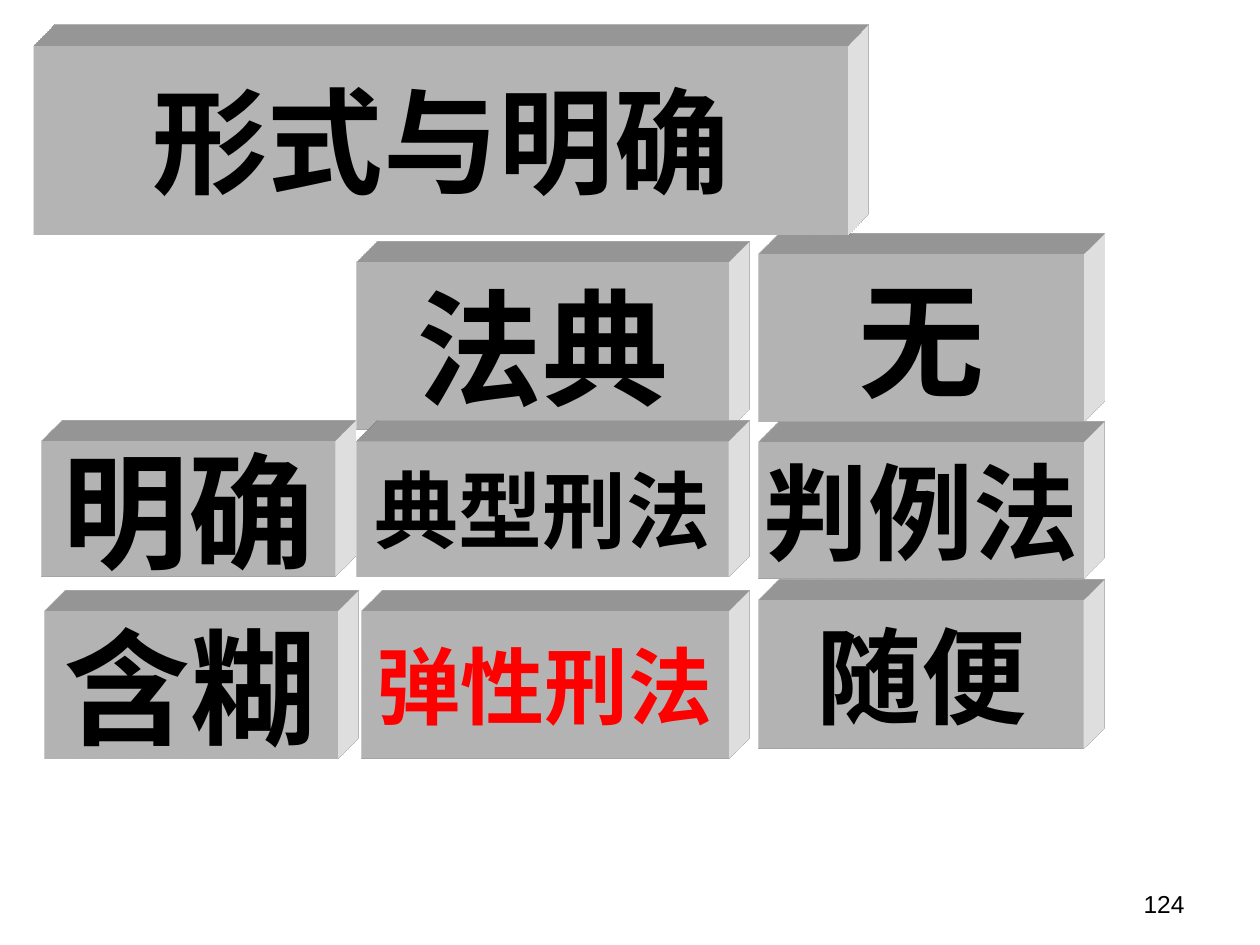
from lxml.etree import fromstring
from pptx import Presentation
from pptx.dml.color import RGBColor
from pptx.enum.shapes import MSO_SHAPE
from pptx.enum.text import MSO_ANCHOR, PP_ALIGN
from pptx.util import Inches, Pt

NAMESPACE = "http://schemas.openxmlformats.org/drawingml/2006/main"
SCENE = f"""<a:scene3d xmlns:a="{NAMESPACE}">
<a:camera prst="legacyObliqueTopRight"/><a:lightRig rig="legacyFlat3" dir="b"/>
</a:scene3d>"""
DEPTH = f"""<a:sp3d xmlns:a="{NAMESPACE}" extrusionH="430200" prstMaterial="legacyMatte">
<a:bevelT w="13500" h="13500" prst="angle"/><a:bevelB w="13500" h="13500" prst="angle"/>
<a:extrusionClr><a:srgbClr val="FFFFFF"/></a:extrusionClr></a:sp3d>"""

# Column left edges and widths
HEADS, MIDDLE, RIGHT = (0.33, 2.33), (2.83, 2.95), (6.02, 2.58)


def color(value):
    """Turn a hex string into a colour."""
    return RGBColor.from_string(value)


def write(shape, text, size, font, ink, align, bold=False):
    """Put one formatted paragraph into a shape."""
    shape.text_frame.text = text
    para = shape.text_frame.paragraphs[0]
    para.alignment = align
    span = para.runs[0]
    span.font.size = Pt(size)
    span.font.name = font
    span.font.bold = bold
    span.font.color.rgb = color(ink)


def add_block(page, text, box, size, ink="000000"):
    """Add an extruded block with a bold centred label."""
    block = page.shapes.add_shape(MSO_SHAPE.RECTANGLE, *map(Inches, box))
    block.fill.solid()
    block.fill.fore_color.rgb = color("FFFFFF")
    block.line.fill.background()
    block.shadow.inherit = False
    for part in (SCENE, DEPTH):
        block._element.spPr.append(fromstring(part))
    block.text_frame.word_wrap = False
    block.text_frame.vertical_anchor = MSO_ANCHOR.MIDDLE
    write(block, text, size, "Times New Roman", ink, PP_ALIGN.CENTER, True)


def add_matrix(page):
    """Add the column heads, row heads and cells of the matrix."""
    cells = [
        ("法典", MIDDLE, 2.08, 1.33, 72, "000000"),
        ("无", RIGHT, 2.02, 1.33, 72, "000000"),
        ("明确", HEADS, 3.5, 1.08, 72, "000000"),
        ("含糊", (0.35, 2.33), 4.85, 1.17, 72, "000000"),
        ("典型刑法", MIDDLE, 3.5, 1.08, 48, "000000"),
        ("判例法", RIGHT, 3.51, 1.08, 60, "000000"),
        ("弹性刑法", (2.87, 2.91), 4.85, 1.17, 48, "FF0000"),
        ("随便", RIGHT, 4.77, 1.17, 60, "000000"),
    ]
    for text, (left, width), top, height, size, ink in cells:
        add_block(page, text, (left, top, width, height), size, ink)


def add_page_number(page, text, box):
    """Add the right-aligned page number."""
    number = page.shapes.add_textbox(*map(Inches, box))
    number.text_frame.word_wrap = True
    write(number, text, 14, "Arial", "000000", PP_ALIGN.RIGHT)


deck = Presentation()
deck.slide_width, deck.slide_height = Inches(10), Inches(7.5)
page = deck.slides.add_slide(deck.slide_layouts[6])
add_matrix(page)
add_block(page, "形式与明确", (0.27, 0.36, 6.46, 1.5), 66)
add_page_number(page, "124", (7.17, 7.01, 2.33, 0.38))
deck.save("out.pptx")
